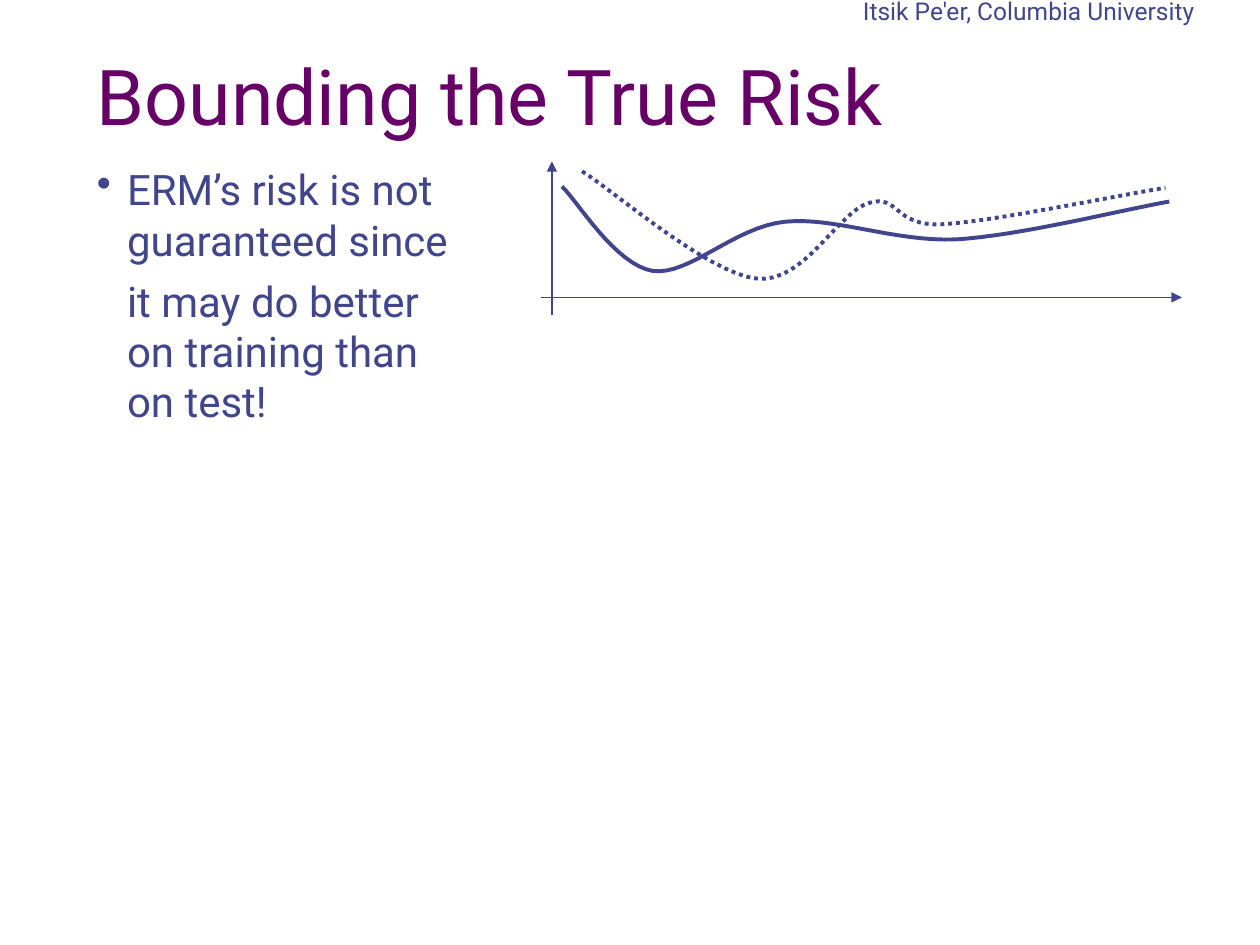
from lxml.etree import SubElement
from pptx import Presentation
from pptx.dml.color import RGBColor
from pptx.enum.dml import MSO_LINE
from pptx.enum.shapes import MSO_CONNECTOR
from pptx.enum.text import MSO_ANCHOR, PP_ALIGN
from pptx.oxml.ns import qn
from pptx.util import Inches, Pt

FONT = "Roboto"
INDIGO = "40458C"
PURPLE = "660066"
CURVE_STEPS = 16

# Offsets in inches from the plot's corner: a start, then three points per Bézier piece
TRAINING_RISK = [
    (0.17, 0.20),
    (0.29, 0.31), (0.59, 0.82), (0.89, 0.87),
    (1.18, 0.91), (1.54, 0.52), (1.94, 0.48),
    (2.34, 0.44), (2.80, 0.64), (3.30, 0.62),
    (3.81, 0.59), (4.64, 0.38), (4.99, 0.32),
]
TRUE_RISK = [
    (0.33, 0.08),
    (0.56, 0.22), (1.33, 0.89), (1.71, 0.93),
    (2.09, 0.98), (2.36, 0.40), (2.61, 0.33),
    (2.85, 0.26), (2.80, 0.52), (3.19, 0.50),
    (3.58, 0.48), (4.59, 0.27), (4.96, 0.21),
]


def color(value):
    return RGBColor.from_string(value)


def style_font(paragraph, size, value):
    paragraph.font.name = FONT
    paragraph.font.size = Pt(size)
    paragraph.font.color.rgb = color(value)


def add_text_frame(slide, box, anchor):
    frame = slide.shapes.add_textbox(*map(Inches, box)).text_frame
    frame.word_wrap = True
    frame.vertical_anchor = anchor
    return frame


def add_heading(slide, box, text, size, value, alignment=PP_ALIGN.LEFT):
    paragraph = add_text_frame(slide, box, MSO_ANCHOR.BOTTOM).paragraphs[0]
    paragraph.text = text
    paragraph.alignment = alignment
    style_font(paragraph, size, value)


def add_body(slide, box, groups):
    """Each group is a list of lines; only the very first line has a bullet."""
    frame = add_text_frame(slide, box, MSO_ANCHOR.TOP)
    for group_number, lines in enumerate(groups):
        for line_number, text in enumerate(lines):
            first = group_number == line_number == 0
            paragraph = frame.paragraphs[0] if first else frame.add_paragraph()
            paragraph.text = text
            properties = paragraph._p.get_or_add_pPr()
            properties.set("marL", str(Inches(0.24)))
            properties.set("indent", str(Inches(-0.24 if first else 0)))
            if first:
                SubElement(properties, qn("a:buChar"), char="•")
            elif line_number == 0:
                paragraph.space_before = Pt(6)
            style_font(paragraph, 24, INDIGO)


def add_axis(slide, start, end):
    axis = slide.shapes.add_connector(
        MSO_CONNECTOR.STRAIGHT, *map(Inches, (*start, *end)))
    axis.line.color.rgb = color(INDIGO)
    axis.line.width = Pt(0.75)
    SubElement(axis.line._get_or_add_ln(), qn("a:tailEnd"), type="triangle")
    SubElement(axis._element.spPr, qn("a:effectLst"))


def bezier_point(controls, t):
    weights = ((1 - t) ** 3, 3 * t * (1 - t) ** 2, 3 * t * t * (1 - t), t ** 3)
    return tuple(sum(w * v for w, v in zip(weights, values))
                 for values in zip(*controls))


def add_curve(slide, origin, points, dash=None):
    left, top = origin
    controls = [(Inches(left + x), Inches(top + y)) for x, y in points]
    builder = slide.shapes.build_freeform(*controls[0])
    samples = [bezier_point(controls[i:i + 4], step / CURVE_STEPS)
               for i in range(0, len(controls) - 1, 3)
               for step in range(1, CURVE_STEPS + 1)]
    builder.add_line_segments(samples, close=False)
    curve = builder.convert_to_shape()
    curve.shadow.inherit = False
    curve.fill.background()
    curve.line.color.rgb = color(INDIGO)
    curve.line.width = Pt(2.25)
    if dash:
        curve.line.dash_style = dash


def add_risk_plot(slide, box):
    left, top, width, height = box
    axis_x, axis_y = left + 0.09, top + 1.08
    add_curve(slide, (left, top), TRAINING_RISK)
    add_axis(slide, (axis_x, top + height), (axis_x, top))
    add_curve(slide, (left, top), TRUE_RISK, MSO_LINE.ROUND_DOT)
    add_axis(slide, (left, axis_y), (left + width, axis_y))


def main():
    presentation = Presentation()
    presentation.slide_width = Inches(10)
    presentation.slide_height = Inches(7.5)
    slide = presentation.slides.add_slide(presentation.slide_layouts[6])

    # Author line and title
    add_heading(slide, (6.58, -0.25, 3.17, 0.5),
                "Itsik Pe'er, Columbia University", 14, INDIGO, PP_ALIGN.CENTER)
    add_heading(slide, (0.67, -0.08, 8.5, 1.25),
                "Bounding the True Risk", 44, PURPLE)

    # Body text
    add_body(slide, (0.67, 1.25, 9.17, 2.29), [
        ["ERM’s risk is not", "guaranteed since"],
        ["it may do better", "on training than", "on test!"],
    ])

    # Risk curves on their axes
    add_risk_plot(slide, (4.29, 1.28, 5.09, 1.22))

    presentation.save("out.pptx")


if __name__ == "__main__":
    main()
